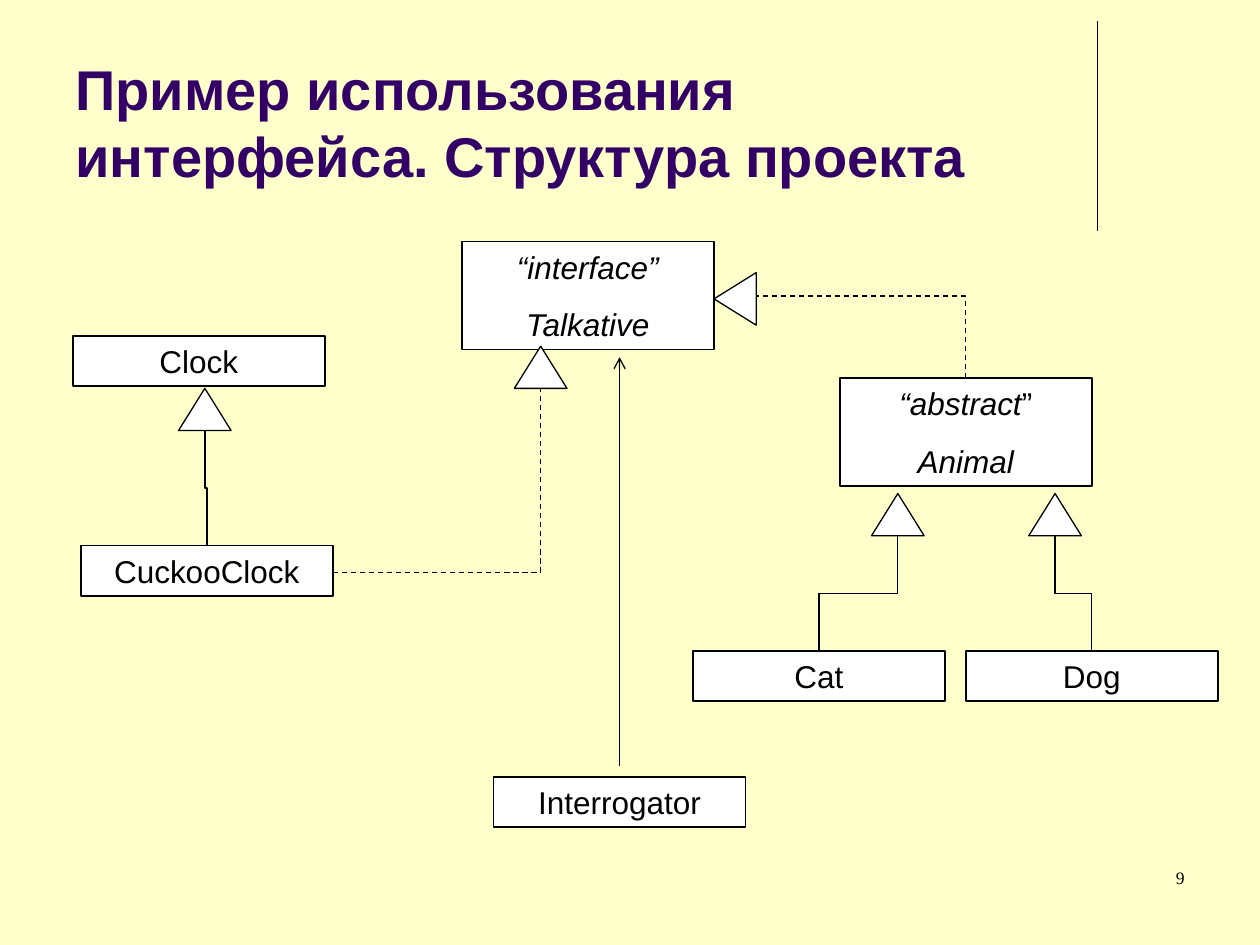
from lxml import etree
from pptx import Presentation
from pptx.dml.color import RGBColor
from pptx.enum import dml, shapes, text
from pptx.oxml.ns import qn
from pptx.util import Cm, Pt

CREAM = RGBColor(0xFF, 0xFF, 0xCC)
WHITE = RGBColor(0xFF, 0xFF, 0xFF)
BLACK = RGBColor(0, 0, 0)
PURPLE = RGBColor(0x33, 0x00, 0x66)

CLASS_WIDTH = 5.08
LINE_HEIGHTS = {1: 1.02, 2: 2.18}
HEAD_WIDTH, HEAD_HEIGHT = 1.06, 0.85

# Left, top, lines; each line is a list of (text, italic)
CLASSES = [
    (1.47, 6.77, [[("Clock", False)]]),
    (1.63, 11.0, [[("CuckooClock", False)]]),
    (9.31, 4.87, [[("“interface”", True)], [("Talkative", True)]]),
    (16.93, 7.62, [[("“abstract", True), ("”", False)], [("Animal", True)]]),
    (13.97, 13.12, [[("Cat", False)]]),
    (19.47, 13.12, [[("Dog", False)]]),
    (9.95, 15.66, [[("Interrogator", False)]]),
]

# Start, end, leaves upwards, preset geometry, dashed
ELBOWS = [
    ((6.71, 11.54), (10.9, 7.83), False, "bentConnector2", True),
    ((19.47, 7.62), (14.4, 5.97), True, "bentConnector2", True),
    ((16.51, 13.12), (18.1, 10.8), True, "bentConnector3", False),
    ((22.01, 13.12), (21.27, 10.8), True, "bentConnector3", False),
    ((4.17, 11.0), (4.13, 8.68), True, "bentConnector3", False),
]

# Left, top, rotation
ARROWHEADS = [
    (3.6, 7.83, 0),
    (17.57, 9.95, 0),
    (20.74, 9.95, 0),
    (10.37, 6.98, 0),
    (14.29, 5.6, 270),
]


def apply(target, **values):
    for name, value in values.items():
        setattr(target, name, value)


def write_span(para, wording, color=BLACK, **font):
    span = para.add_run()
    span.text = wording
    apply(span.font, **font)
    span.font.color.rgb = color


def add_label(page, place, wording, align, anchor, **font):
    box = page.shapes.add_textbox(*map(Cm, place))
    apply(box.text_frame, word_wrap=True, vertical_anchor=anchor)
    para = box.text_frame.paragraphs[0]
    para.alignment = align
    write_span(para, wording, **font)


def add_outlined(page, preset, place, width):
    shape = page.shapes.add_shape(preset, *map(Cm, place))
    shape.shadow.inherit = False
    shape.fill.solid()
    shape.fill.fore_color.rgb = WHITE
    shape.line.color.rgb = BLACK
    shape.line.width = Pt(width)
    return shape


def add_class(page, left, top, lines):
    place = (left, top, CLASS_WIDTH, LINE_HEIGHTS[len(lines)])
    box = add_outlined(page, shapes.MSO_SHAPE.RECTANGLE, place, 1)
    frame = box.text_frame
    apply(frame, word_wrap=True, vertical_anchor=text.MSO_ANCHOR.MIDDLE)
    for index, spans in enumerate(lines):
        para = frame.add_paragraph() if index else frame.paragraphs[0]
        para.alignment = text.PP_ALIGN.CENTER
        para.space_before = Pt(11.2 if index else 0)
        for wording, italic in spans:
            write_span(para, wording, name="Arial", size=Pt(18), italic=italic)


def add_arrowhead(page, left, top, rotation):
    """Hollow triangle that marks inheritance or implementation."""
    place = (left, top, HEAD_WIDTH, HEAD_HEIGHT)
    head = add_outlined(page, shapes.MSO_SHAPE.FLOWCHART_EXTRACT, place, 0.75)
    head.rotation = rotation


def add_line(page, start, end, kind=shapes.MSO_CONNECTOR.STRAIGHT):
    line = page.shapes.add_connector(kind, *map(Cm, (*start, *end)))
    line.line.color.rgb = BLACK
    line.line.width = Pt(0.75)
    etree.SubElement(line._element.spPr, qn("a:effectLst"))
    return line


def add_elbow(page, start, end, upwards, preset, dashed):
    """Elbow that leaves to the right, or upwards by a turn of 270 degrees."""
    (x1, y1), (x2, y2) = start, end
    if upwards:
        # Before the turn, the climb runs along x and the sideways step along y
        mid_x, mid_y = (x1 + x2) / 2, (y1 + y2) / 2
        climb, step = (y1 - y2) / 2, (x2 - x1) / 2
        start = (mid_x - climb, mid_y - step)
        end = (mid_x + climb, mid_y + step)
    elbow = add_line(page, start, end, shapes.MSO_CONNECTOR.ELBOW)
    properties = elbow._element.spPr
    properties.find(qn("a:prstGeom")).set("prst", preset)
    if upwards:
        properties.find(qn("a:xfrm")).set("rot", str(270 * 60000))
    if dashed:
        elbow.line.dash_style = dml.MSO_LINE.DASH


def add_arrow(page, start, end):
    arrow = add_line(page, start, end)
    outline = arrow.line._get_or_add_ln()
    etree.SubElement(outline, qn("a:tailEnd"), type="arrow")


def main():
    deck = Presentation()
    apply(deck, slide_width=Cm(25.4), slide_height=Cm(19.05))
    page = deck.slides.add_slide(deck.slide_layouts[6])
    page.background.fill.solid()
    page.background.fill.fore_color.rgb = CREAM

    add_line(page, (22.12, 0.43), (22.12, 4.65))
    add_label(page, (1.27, 0.33, 20.96, 3.6),
              "Пример использования интерфейса. Структура проекта",
              text.PP_ALIGN.LEFT, text.MSO_ANCHOR.BOTTOM,
              color=PURPLE, name="Arial", size=Pt(32), bold=True)
    for item in CLASSES:
        add_class(page, *item)
    for item in ELBOWS:
        add_elbow(page, *item)
    for item in ARROWHEADS:
        add_arrowhead(page, *item)
    add_arrow(page, (12.49, 15.45), (12.49, 7.2))
    add_label(page, (18.2, 17.35, 5.93, 1.27), "9",
              text.PP_ALIGN.RIGHT, text.MSO_ANCHOR.TOP,
              name="Times New Roman", size=Pt(10))
    deck.save("out.pptx")


if __name__ == "__main__":
    main()
